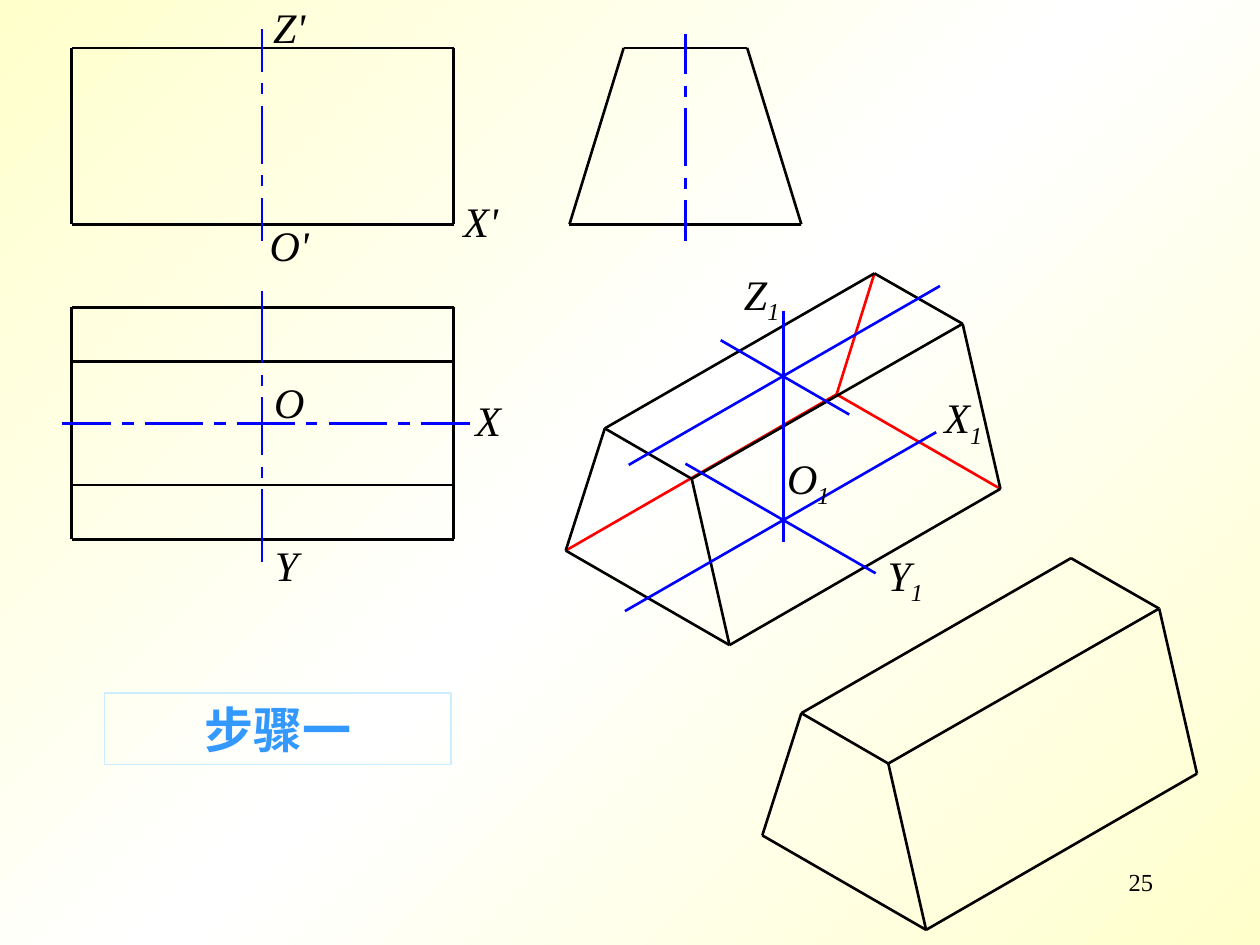
from copy import deepcopy
from pptx import Presentation
from pptx.dml.color import RGBColor
from pptx.enum.shapes import MSO_CONNECTOR, MSO_SHAPE
from pptx.enum.text import PP_ALIGN
from pptx.oxml.ns import qn
from pptx.util import Inches, Pt

BLACK, BLUE, RED = "000000", "0000FF", "FF0000"
FONT = "Times New Roman"
DASH, DOT, GAP = 0.46, 0.09, 0.09

# Corners of the prism: t is top, b is base
SOLID = {
    "t1": (4.8, 3.4), "t2": (5.49, 3.8), "t3": (7.64, 2.57), "t4": (6.94, 2.17),
    "b1": (4.49, 4.37), "b2": (5.79, 5.12), "b3": (7.94, 3.88), "b4": (6.64, 3.13),
}
SEEN = ["t1 t2", "t2 t3", "t3 t4", "t4 t1", "t1 b1", "t2 b2", "t3 b3", "b1 b2", "b2 b3"]
HIDDEN = ["b4 b1", "b4 b3", "b4 t4"]


def paint(color):
    return RGBColor.from_string(color)


def add_line(slide, start, end, color=BLACK):
    ends = [Inches(v) for v in (*start, *end)]
    line = slide.shapes.add_connector(MSO_CONNECTOR.STRAIGHT, *ends)
    line.line.color.rgb = paint(color)
    line.line.width = Pt(1.5)
    props = line._element.spPr
    props.append(props.makeelement(qn("a:effectLst"), {}))


def add_loop(slide, points):
    for start, end in zip(points, points[1:] + points[:1]):
        add_line(slide, start, end)


def add_box(slide, left, top, right, bottom):
    add_loop(slide, [(left, top), (right, top), (right, bottom), (left, bottom)])


def add_axis(slide, fixed, start, end, count, flat=False):
    """Chain line: count long dashes between two end dashes, with dots between."""
    inner = count * DASH + (count + 1) * (DOT + 2 * GAP)
    tip = (end - start - inner) / 2
    parts = [tip, DOT] + [DASH, DOT] * count + [tip]
    at = start
    for size in parts:
        pair = [(v, fixed) if flat else (fixed, v) for v in (at, at + size)]
        add_line(slide, *pair, BLUE)
        at += size + GAP


def add_edges(slide, edges, color=BLACK, dx=0, dy=0):
    for edge in edges:
        start, end = [(SOLID[n][0] + dx, SOLID[n][1] + dy) for n in edge.split()]
        add_line(slide, start, end, color)


def set_text(shape, text, size, color=BLACK, align=PP_ALIGN.CENTER):
    frame = shape.text_frame
    frame.word_wrap = True
    para = frame.paragraphs[0]
    para.text = text
    para.alignment = align
    font = para.runs[0].font
    font.name, font.size, font.color.rgb = FONT, Pt(size), paint(color)
    return para


def add_text(slide, text, left, top, width, height, size, align=PP_ALIGN.CENTER):
    box = slide.shapes.add_textbox(*map(Inches, (left, top, width, height)))
    return set_text(box, text, size, align=align)


def add_label(slide, text, left, top, sub=""):
    para = add_text(slide, text, left, top, 1.25, 0.56 if sub else 0.5, 24)
    para.runs[0].font.italic = True
    if sub:
        run = para.add_run()
        run.text = sub
        font = run.font
        font.name, font.size, font.italic = FONT, Pt(24), True
        font.color.rgb = paint(BLACK)
        font._element.set("baseline", "-25000")


def add_title(slide, text):
    box = slide.shapes.add_shape(
        MSO_SHAPE.RECTANGLE, *map(Inches, (0.83, 5.5, 2.75, 0.57)))
    box.shadow.inherit = False
    box.fill.background()
    box.line.color.rgb = paint("CCECFF")
    box.line.width = Pt(0)
    set_text(box, text, 28, "3399FF").runs[0].font.bold = True


def set_back(slide):
    fill = slide.background.fill
    fill.gradient()
    fill.gradient_angle = 315
    stops = slide._element.xpath(".//a:gsLst")[0]
    stops.append(deepcopy(stops[0]))
    for stop, place, color in zip(
            fill.gradient_stops, (0, 0.5, 1), ("FFFFCC", "FFFFFF", "FFFFCC")):
        stop.position = place
        stop.color.rgb = paint(color)


def main():
    deck = Presentation()
    deck.slide_width, deck.slide_height = Inches(10), Inches(7.5)
    slide = deck.slides.add_slide(deck.slide_layouts[6])
    set_back(slide)
    add_text(slide, "25", 7.17, 6.83, 2.08, 0.5, 14, PP_ALIGN.RIGHT)

    # Finished prism
    add_edges(slide, SEEN, dx=1.56, dy=2.26)

    # Front, top and side views
    add_box(slide, 0.57, 0.38, 3.6, 1.78)
    add_box(slide, 0.57, 2.44, 3.6, 4.28)
    for y in (2.87, 3.85):
        add_line(slide, (0.57, y), (3.6, y))
    add_loop(slide, [(4.95, 0.38), (5.93, 0.38), (6.36, 1.78), (4.52, 1.78)])

    # Centre lines of the views
    add_axis(slide, 2.08, 2.31, 4.46, 1)
    add_axis(slide, 3.36, 0.49, 3.73, 3, flat=True)
    add_axis(slide, 2.08, 0.23, 1.91, 1)
    add_axis(slide, 5.44, 0.27, 1.91, 1)

    add_title(slide, "步骤一")

    # Prism under construction with its axes
    add_edges(slide, HIDDEN, RED)
    add_edges(slide, SEEN)
    for start, end in [
        ((4.99, 3.69), (7.46, 2.27)), ((5.72, 2.7), (6.74, 3.29)),
        ((4.96, 4.85), (7.43, 3.43)), ((5.44, 3.68), (6.95, 4.55)),
        ((6.22, 2.47), (6.22, 4.3)),
    ]:
        add_line(slide, start, end, BLUE)

    # Axis names
    for text, left, top in [
        ("X", 3.25, 3.08), ("X'", 3.19, 1.5), ("O'", 1.67, 1.69),
        ("Z'", 1.67, -0.04), ("Y", 1.65, 4.23), ("O", 1.67, 2.94),
    ]:
        add_label(slide, text, left, top)
    for text, left, top in [
        ("X", 7.02, 3.06), ("Z", 5.42, 2.08), ("Y", 6.56, 4.31), ("O", 5.79, 3.54),
    ]:
        add_label(slide, text, left, top, "1")

    deck.save("out.pptx")


if __name__ == "__main__":
    main()
